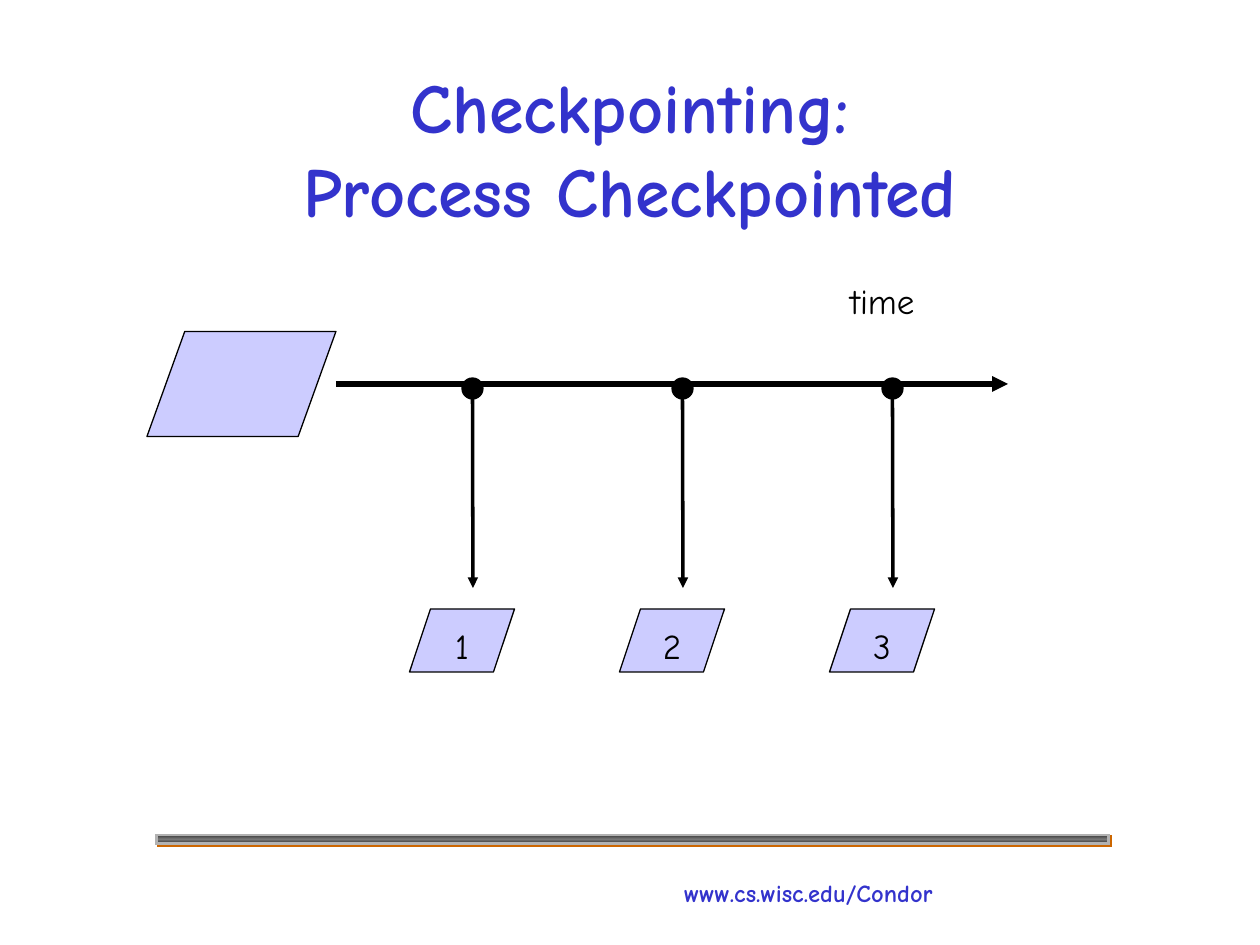
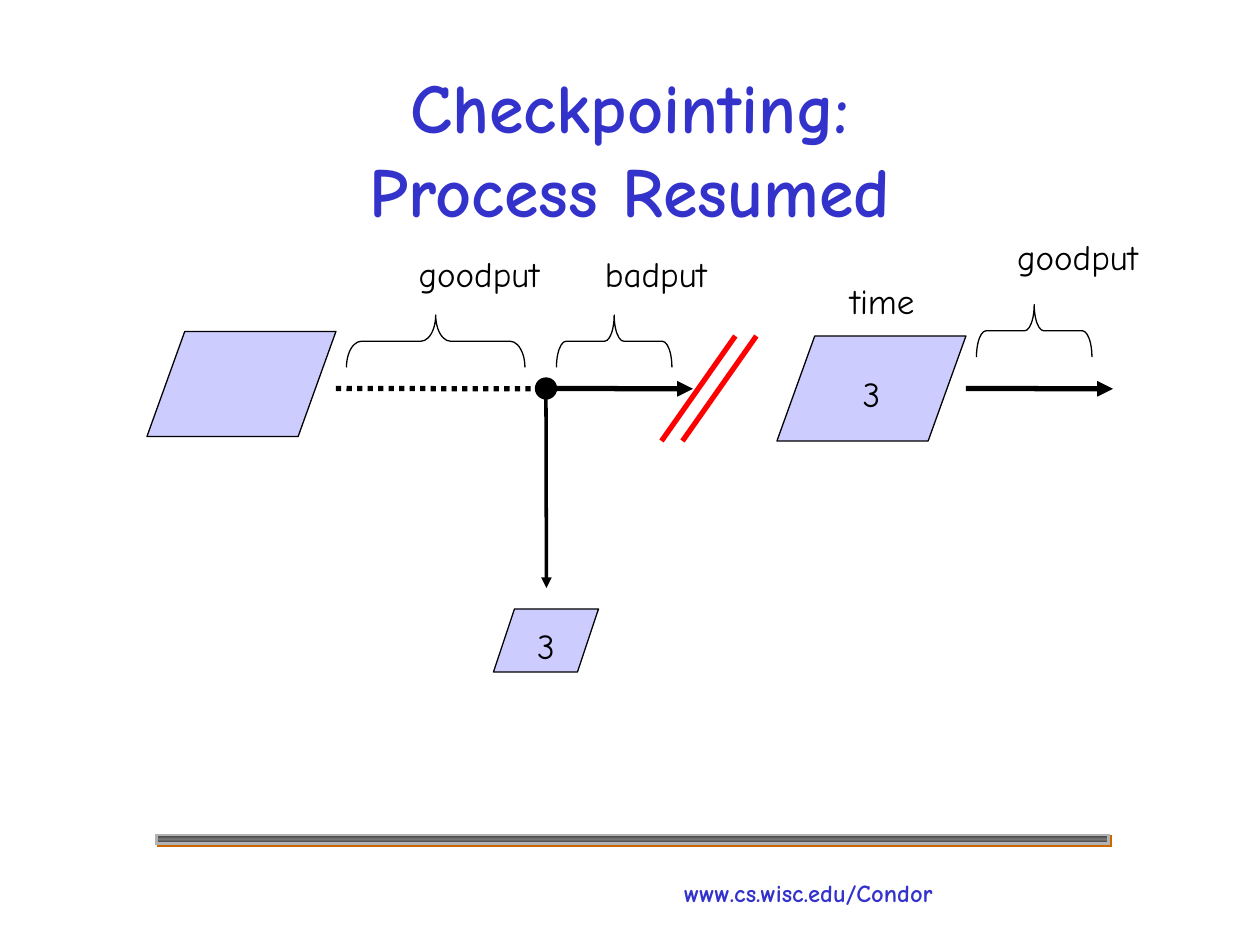
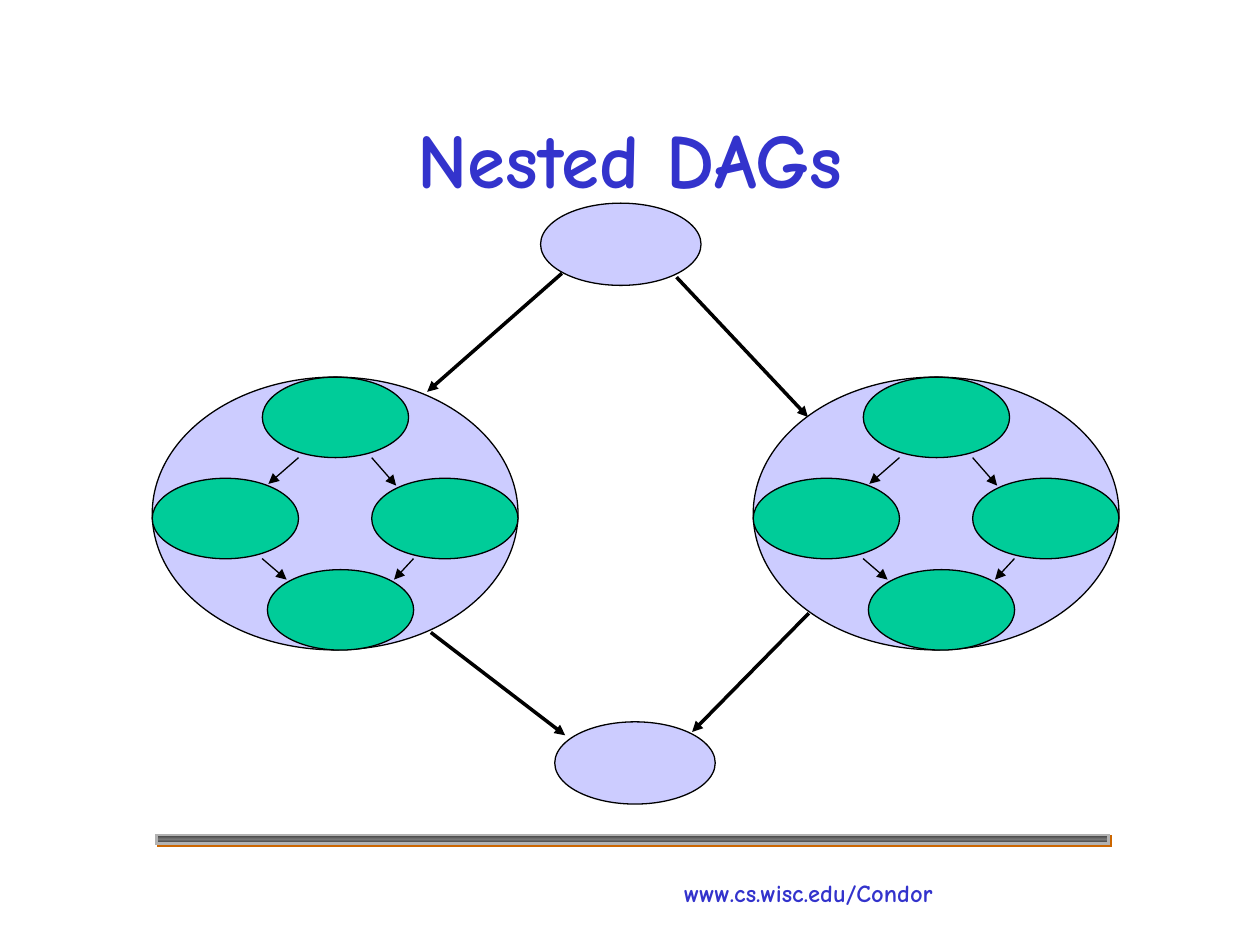
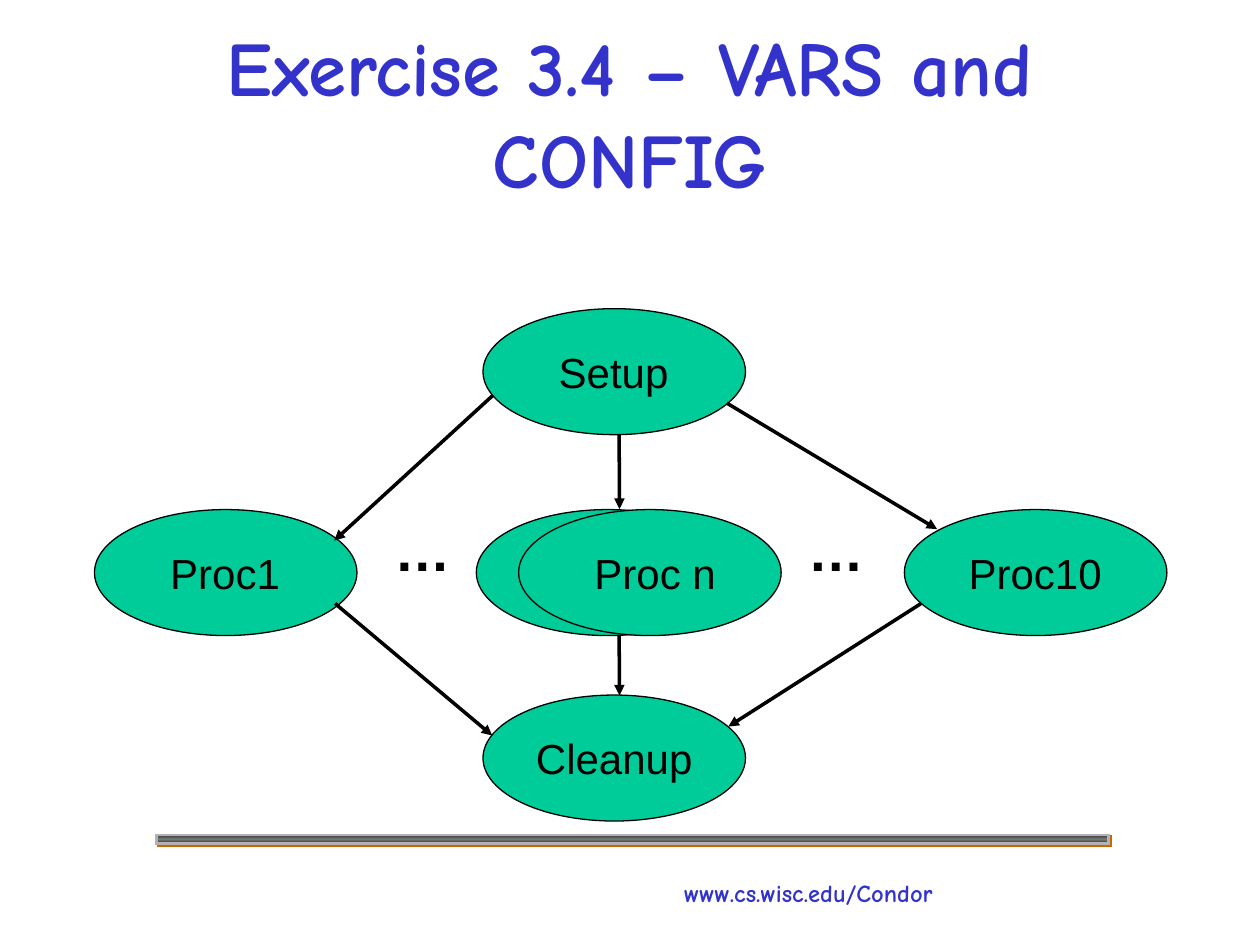
from copy import deepcopy
from dataclasses import dataclass

from lxml.etree import SubElement
from pptx import Presentation
from pptx.dml.color import RGBColor as RGB
from pptx.enum.dml import MSO_LINE
from pptx.enum.shapes import MSO_CONNECTOR, MSO_SHAPE as SHAPE
from pptx.enum.text import MSO_ANCHOR as ANCHOR, MSO_AUTO_SIZE as FIT, PP_ALIGN as ALIGN
from pptx.oxml.ns import qn
from pptx.util import Pt


@dataclass(frozen=True)
class Theme:
    display: str = "Comic Neue"
    plain: str = "Arial"
    blue: str = "3333CC"
    lilac: str = "CCCCFF"
    green: str = "00CC99"
    black: str = "000000"
    red: str = "FF0000"
    silver: str = "B2B2B2"
    orange: str = "CC6600"
    bar: tuple = ("363636", "777777", "363636")
    small: int = 14
    body: int = 20
    node: int = 24
    dots: int = 32
    title: int = 40
    title_large: int = 44
    thin: float = 0.75
    edge: int = 2
    axis: int = 3


T = Theme()

FOOTER = ("www.cs.wisc.edu/Condor", (383.9, 498.2, 158, 24.5))
BAR = (89.3, 477.1, 544.3, 5)

TITLE_BOX = (54, 32.4, 612, 103.7)
PROCESS = (84, 189.4, 108, 60)
TIME = ("time", (478.6, 150, 51.1, 37.4))
SNAPSHOT_Y, SNAPSHOT_SIZE = 348, (60, 36)
DOT = 12
ARROW_Y = (228, 336)

NODE_SIZE = (150, 72)
DAG_SIZE = (209, 155.9)
TASK_SIZE = (83.6, 46)
TASKS = [(62.9, 0), (125.4, 57.8), (0, 57.8), (65.8, 110)]
TASK_LINKS = [
    ((83.6, 46), (66.4, 61)),
    ((125.4, 46), (139.4, 62)),
    ((62.8, 103.7), (76.8, 115.7)),
    ((149.3, 103.7), (138.2, 115.7)),
]

SLIDES = [
    dict(
        title=("Checkpointing:\nProcess Checkpointed", TITLE_BOX, T.title, ANCHOR.MIDDLE),
        processes=[("", PROCESS)],
        axes=[((192, 219.4), (576, 219.4), T.black, True, False)],
        labels=[TIME],
        checkpoints=[("1", 270, 234), ("2", 390, 354), ("3", 510, 474)],
    ),
    dict(
        title=("Checkpointing:\nProcess Resumed", TITLE_BOX, T.title, ANCHOR.MIDDLE),
        processes=[("", PROCESS), ("3", (444, 192, 108, 60))],
        axes=[
            ((192, 222), (312, 222.2), T.black, False, True),
            ((312, 222), (396, 222.2), T.black, True, False),
            ((420.2, 192), (378, 252), T.red, False, False),
            ((432.2, 192), (390, 252), T.red, False, False),
            ((552, 222), (636, 222.2), T.black, True, False),
        ],
        labels=[
            TIME,
            ("goodput", (232, 134.6, 83.5, 37.4)),
            ("badput", (338.4, 134.6, 72.7, 37.4)),
            ("goodput", (574, 124.9, 83.5, 37.4)),
        ],
        braces=[(234, 144, 30, 102), (576, 156, 30, 66), (336, 162, 30, 66)],
        checkpoints=[("3", 312, 282)],
    ),
    dict(
        title=("Nested DAGs", (54, 48, 612, 72), T.title_large, ANCHOR.BOTTOM),
        dags=[(430.4, 215.5), (87, 215.5)],
        jobs=[(308.9, 116.1, 91.7, 47), (317, 412.5, 91.7, 47)],
        links=[
            ((321.1, 156.2), (244.1, 223.9)),
            ((386.6, 158.4), (461.7, 238.3)),
            ((246.2, 361.4), (323, 420.2)),
            ((462.2, 350.4), (395.5, 418.3)),
        ],
    ),
    dict(
        title=("Exercise 3.4 – VARS and CONFIG", (54, 7.2, 612, 113), T.title_large, ANCHOR.BOTTOM),
        nodes=[
            ("Setup", [(276, 176.4)], 36.2, 78),
            ("Proc1", [(54, 291.2)], 36.2, 78),
            ("Proc10", [(516.8, 291.2)], 29.6, 92),
            ("Cleanup", [(276, 397.2)], 23.2, 105),
            ("Proc n", [(272.2, 291.2), (296.4, 291.2)], 36.2, 85),
        ],
        ellipses=[(218.2, 290.9, 46, 46), (454.5, 290.9, 46, 46)],
        links=[
            ((415.4, 230.4), (535.5, 302.4)),
            ((191.5, 344.9), (281.3, 420.3)),
            ((526.3, 344.9), (416.2, 415.2)),
            ((281.5, 226.1), (191, 308.9)),
            ((353.8, 362.9), (354, 397.4)),
            ((353.8, 248.4), (354, 290.9)),
        ],
    ),
]


def pts(*values):
    return [Pt(v) for v in values]


def assign(obj, formats):
    for name, value in formats.items():
        setattr(obj, name, value)


def write(sp, text, size, font=T.display, color=T.black, bold=False, align=ALIGN.CENTER,
          spacing=None, anchor=ANCHOR.TOP, wrap=False, fit=FIT.NONE):
    tf = sp.text_frame
    assign(tf, dict(word_wrap=wrap, auto_size=fit, vertical_anchor=anchor))
    p = tf.paragraphs[0]
    p.text = text
    assign(p, dict(alignment=align, line_spacing=spacing))
    assign(p.font, dict(name=font, size=Pt(size), bold=bold))
    p.font.color.rgb = RGB.from_string(color)


def add_text(shapes, text, box, size, **formats):
    write(shapes.add_textbox(*pts(*box)), text, size, **formats)


def add_outlined(shapes, kind, box, fill=None, line=T.black, weight=T.thin):
    sp = shapes.add_shape(kind, *pts(*box))
    sp.shadow.inherit = False
    if fill:
        sp.fill.solid()
        sp.fill.fore_color.rgb = RGB.from_string(fill)
    else:
        sp.fill.background()
    sp.line.color.rgb = RGB.from_string(line)
    sp.line.width = Pt(weight)
    return sp


def add_line(shapes, start, end, weight=T.edge, color=T.black, arrow=True, dotted=False):
    cx = shapes.add_connector(MSO_CONNECTOR.STRAIGHT, *pts(*start, *end))
    cx.line.color.rgb = RGB.from_string(color)
    cx.line.width = Pt(weight)
    if dotted:
        cx.line.dash_style = MSO_LINE.ROUND_DOT
    if arrow:
        SubElement(cx.line._get_or_add_ln(), qn("a:tailEnd"), type="triangle")
    SubElement(cx._element.spPr, qn("a:effectLst"))


def add_block(shapes, text, box):
    sp = add_outlined(shapes, SHAPE.FLOWCHART_DATA, box, T.lilac)
    if text:
        write(sp, text, T.body, spacing=1.25, anchor=ANCHOR.MIDDLE)


def add_checkpoint(shapes, text, x, left):
    add_block(shapes, text, (left, SNAPSHOT_Y, *SNAPSHOT_SIZE))
    add_line(shapes, (x, ARROW_Y[0]), (x + 0.25, ARROW_Y[1]))
    add_outlined(shapes, SHAPE.OVAL, (x - DOT / 2, ARROW_Y[0] - DOT, DOT, DOT), T.black)


def add_brace(shapes, box):
    sp = add_outlined(shapes, SHAPE.RIGHT_BRACE, box)
    sp.adjustments[0] = box[3] / box[2] / 12
    sp.rotation = 270


def add_dag(shapes, x, y):
    group = shapes.add_group_shape().shapes
    add_outlined(group, SHAPE.OVAL, (x, y, *DAG_SIZE), T.lilac)
    for dx, dy in TASKS:
        add_outlined(group, SHAPE.OVAL, (x + dx, y + dy, *TASK_SIZE), T.green)
    for link in TASK_LINKS:
        start, end = [(x + dx, y + dy) for dx, dy in link]
        add_line(group, start, end, T.thin)


def add_node(shapes, text, corners, indent, width):
    group = shapes.add_group_shape().shapes
    for corner in corners:
        add_outlined(group, SHAPE.OVAL, (*corner, *NODE_SIZE), T.green)
    x, y = corners[-1]
    add_text(group, text, (x + indent, y + 18, width, 36), T.node,
             font=T.plain, align=ALIGN.LEFT, fit=FIT.SHAPE_TO_FIT_TEXT)


def add_frame(shapes):
    text, box = FOOTER
    add_text(shapes, text, box, T.small, color=T.blue, bold=True,
             align=ALIGN.LEFT, fit=FIT.SHAPE_TO_FIT_TEXT)
    sp = add_outlined(shapes, SHAPE.RECTANGLE, BAR, line=T.silver, weight=1.5)
    SubElement(sp.line._get_or_add_ln(), qn("a:miter"), lim="800000")
    sp.fill.gradient()
    sp.fill.gradient_angle = 90
    spPr = sp._element.spPr
    stops = spPr.find(".//" + qn("a:gsLst"))
    stops.append(deepcopy(stops[0]))
    for i, (stop, color) in enumerate(zip(sp.fill.gradient_stops, T.bar)):
        stop.position = i / 2
        stop.color.rgb = RGB.from_string(color)
    shadow = SubElement(spPr.find(qn("a:effectLst")), qn("a:outerShdw"),
                        blurRad="0", dist=str(Pt(1.4)), dir="2700000")
    SubElement(shadow, qn("a:srgbClr"), val=T.orange)


def add_slide(prs, data):
    shapes = prs.slides.add_slide(prs.slide_layouts[6]).shapes
    add_frame(shapes)
    text, box, size, anchor = data["title"]
    add_text(shapes, text, box, size, color=T.blue, bold=True, anchor=anchor, wrap=True)
    for text, box in data.get("processes", []):
        add_block(shapes, text, box)
    for start, end, color, arrow, dotted in data.get("axes", []):
        add_line(shapes, start, end, T.axis, color, arrow, dotted)
    for text, box in data.get("labels", []):
        add_text(shapes, text, box, T.body, spacing=1.25, fit=FIT.SHAPE_TO_FIT_TEXT)
    for box in data.get("braces", []):
        add_brace(shapes, box)
    for checkpoint in data.get("checkpoints", []):
        add_checkpoint(shapes, *checkpoint)
    for corner in data.get("dags", []):
        add_dag(shapes, *corner)
    for box in data.get("jobs", []):
        add_outlined(shapes, SHAPE.OVAL, box, T.lilac)
    for node in data.get("nodes", []):
        add_node(shapes, *node)
    for box in data.get("ellipses", []):
        add_text(shapes, "…", box, T.dots, font=T.plain, bold=True,
                 align=ALIGN.LEFT, fit=FIT.SHAPE_TO_FIT_TEXT)
    for start, end in data.get("links", []):
        add_line(shapes, start, end)


def main():
    prs = Presentation()
    assign(prs, dict(slide_width=Pt(720), slide_height=Pt(540)))
    for data in SLIDES:
        add_slide(prs, data)
    prs.save("out.pptx")


if __name__ == "__main__":
    main()
